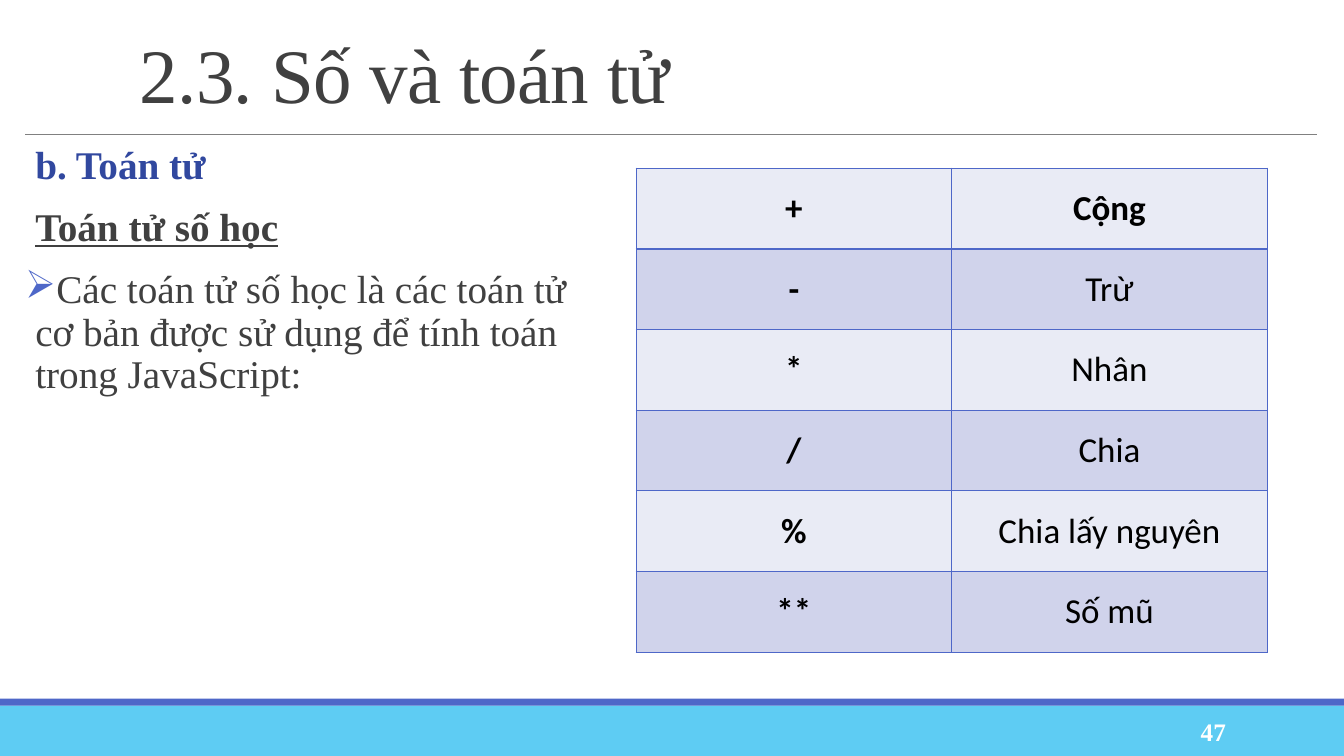
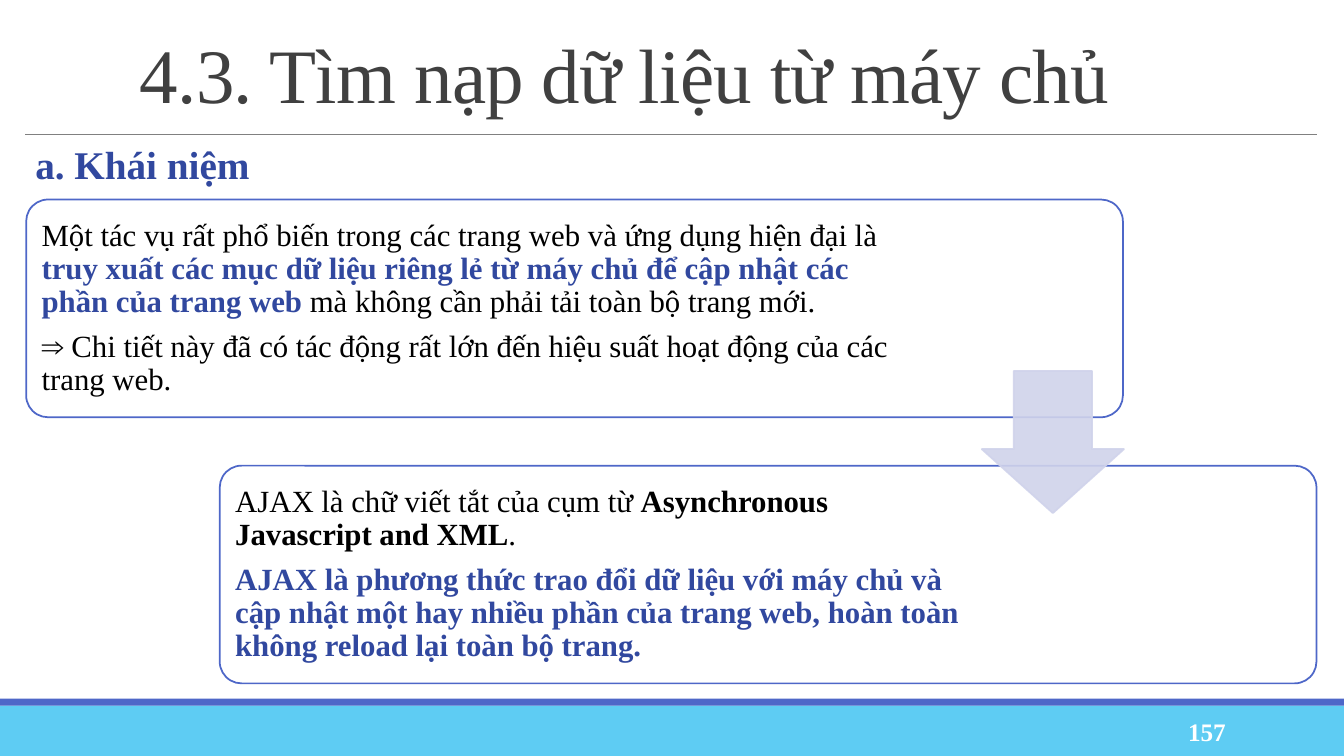
from lxml import etree
from pptx import Presentation
from pptx.dml.color import RGBColor
from pptx.enum.shapes import MSO_CONNECTOR, MSO_SHAPE
from pptx.enum.text import MSO_ANCHOR as Anchor, PP_ALIGN as Align
from pptx.oxml.ns import qn
from pptx.util import Inches, Pt

SERIF, SANS = "Times New Roman", "Calibri"
INK, BLACK, WHITE = "404040", "000000", "FFFFFF"
BLUE, NAVY, SKY, RULE = "4E67C8", "31489F", "5ECCF3", "808080"
PALE, LILAC = "E9EBF5", "D0D3EB"
MARGIN, FULL_WIDTH = 1.88, 96.15


def color(hex_text):
    return RGBColor.from_string(hex_text)


def run(text, **style):
    return text, style


class Deck:
    """Holds the style and the current slide; lengths are percentages of the slide."""

    def __init__(self):
        self.presentation = Presentation()
        self.presentation.slide_width = Inches(13.333)
        self.presentation.slide_height = Inches(7.5)
        self.slide = None

    def x(self, share):
        return round(self.presentation.slide_width * share / 100)

    def y(self, share):
        return round(self.presentation.slide_height * share / 100)

    def box(self, left, top, width, height):
        return self.x(left), self.y(top), self.x(width), self.y(height)

    def new_slide(self, title, number):
        self.slide = self.presentation.slides.add_slide(self.presentation.slide_layouts[6])
        self.shape(MSO_SHAPE.RECTANGLE, (0, 93.33, 100, 6.67), SKY)
        self.shape(MSO_SHAPE.RECTANGLE, (0, 92.4, 100, 0.93), BLUE)
        self.rule(17.73)
        frame = self.text_box((9.68, 4.13, 88.35, 12.8), Anchor.MIDDLE)
        paragraph = self.paragraph(frame, [run(title)], size=55, line_spacing=0.85)
        paragraph.runs[0].font._element.set("spc", "-50")
        frame = self.text_box((81.22, 94.13, 10.73, 5.33), Anchor.MIDDLE)
        self.paragraph(frame, [run(str(number), bold=True)], size=18, ink=WHITE,
                       align=Align.RIGHT)

    def shape(self, preset, place, fill, line=None, adjustments=(), opacity=None):
        shape = self.slide.shapes.add_shape(preset, *self.box(*place))
        shape.shadow.inherit = False
        for index, value in enumerate(adjustments):
            shape.adjustments[index] = value
        shape.fill.solid()
        shape.fill.fore_color.rgb = color(fill)
        if line:
            shape.line.color.rgb = color(line)
            shape.line.width = Pt(1.25)
        else:
            shape.line.fill.background()
        if opacity:
            for tint in shape._element.spPr.iter(qn("a:srgbClr")):
                etree.SubElement(tint, qn("a:alpha")).set("val", str(opacity * 1000))
        return shape

    def rule(self, top):
        line = self.slide.shapes.add_connector(
            MSO_CONNECTOR.STRAIGHT, self.x(MARGIN), self.y(top),
            self.x(MARGIN + FULL_WIDTH), self.y(top))
        line.line.color.rgb = color(RULE)
        line.line.width = Pt(0.5)
        etree.SubElement(line._element.spPr, qn("a:effectLst"))

    def text_box(self, place, anchor=Anchor.TOP):
        frame = self.slide.shapes.add_textbox(*self.box(*place)).text_frame
        frame.word_wrap = True
        frame.vertical_anchor = anchor
        return frame

    def paragraph(self, frame, runs, size, ink=INK, font=SERIF, align=Align.LEFT,
                  line_spacing=None, before=0, after=0):
        """Fills the empty first paragraph of the frame, or appends another."""
        paragraph = frame.paragraphs[0]
        first = not paragraph.runs
        if not first:
            paragraph = frame.add_paragraph()
        paragraph.alignment = align
        paragraph.line_spacing = line_spacing
        paragraph.space_before = Pt(0 if first else before)
        paragraph.space_after = Pt(after)
        for text, style in runs:
            piece = paragraph.add_run()
            piece.text = text
            piece.font.name = font
            piece.font.size = Pt(size)
            piece.font.bold = style.get("bold", False)
            piece.font.underline = style.get("underline", False)
            piece.font.color.rgb = color(style.get("ink", ink))
        return paragraph

    def body(self, width, *items):
        """Each item is a bullet character (or None) and its run."""
        frame = self.text_box((MARGIN, 18.67, width, 71.2))
        frame.margin_left = frame.margin_right = 0
        for bullet, content in items:
            paragraph = self.paragraph(frame, [content], size=28, line_spacing=0.9,
                                       before=12, after=2)
            properties = paragraph._p.get_or_add_pPr()
            properties.set("marL", str(Inches(0.1)))
            if bullet:
                properties.set("indent", str(-Inches(0.1)))
                tint = etree.SubElement(properties, qn("a:buClr"))
                etree.SubElement(tint, qn("a:srgbClr")).set("val", BLUE)
                etree.SubElement(properties, qn("a:buChar")).set("char", bullet)

    def card(self, left, top, right_inset, *paragraphs):
        card = self.shape(MSO_SHAPE.ROUNDED_RECTANGLE, (left, top, 81.6, 28.8),
                          WHITE, BLUE, [0.1])
        frame = card.text_frame
        frame.word_wrap = True
        frame.vertical_anchor = Anchor.MIDDLE
        frame.margin_left = frame.margin_top = frame.margin_bottom = Inches(0.09)
        frame.margin_right = self.x(right_inset)
        for runs in paragraphs:
            self.paragraph(frame, runs, size=22, ink=BLACK, line_spacing=0.9, after=8)

    def table(self, place, rows):
        frame = self.slide.shapes.add_table(len(rows), len(rows[0]), *self.box(*place))
        table = frame.table
        table.first_row = table.horz_banding = False
        for row, texts in enumerate(rows):
            for column, text in enumerate(texts):
                cell = table.cell(row, column)
                cell.fill.solid()
                cell.fill.fore_color.rgb = color(LILAC if row % 2 else PALE)
                cell.vertical_anchor = Anchor.MIDDLE
                cell.margin_left = cell.margin_right = Inches(0.07)
                cell.margin_top = cell.margin_bottom = 0
                self.paragraph(cell.text_frame, [run(text, bold=row == 0 or column == 0)],
                               size=25, ink=BLACK, font=SANS, align=Align.CENTER, after=6)
                cell.text_frame.paragraphs[0].space_after = Pt(0)
                self.borders(cell)

    def borders(self, cell):
        properties = cell._tc.get_or_add_tcPr()
        for index, side in enumerate(("lnL", "lnR", "lnT", "lnB")):
            line = etree.Element(qn(f"a:{side}"), w=str(Pt(1)))
            fill = etree.SubElement(line, qn("a:solidFill"))
            etree.SubElement(fill, qn("a:srgbClr")).set("val", BLUE)
            properties.insert(index, line)


def operators_slide(deck):
    deck.new_slide("2.3. Số và toán tử", 47)
    deck.body(
        41.93,
        (None, run("b. Toán tử", bold=True, ink=NAVY)),
        (None, run("Toán tử số học", bold=True, underline=True)),
        ("➢", run("Các toán tử số học là các toán tử cơ bản được sử dụng để "
                  "tính toán trong JavaScript:")))
    deck.table((47.33, 22.27, 46.95, 64), [
        ("+", "Cộng"), ("-", "Trừ"), ("*", "Nhân"),
        ("/", "Chia"), ("%", "Chia lấy nguyên"), ("**", "Số mũ")])


def ajax_slide(deck):
    deck.new_slide("4.3. Tìm nạp dữ liệu từ máy chủ", 157)
    deck.body(FULL_WIDTH, (None, run("a. Khái niệm", bold=True, ink=NAVY)))
    deck.card(
        1.95, 26.4, 16.4,
        [run("Một tác vụ rất phổ biến trong các trang web và ứng dụng hiện đại là "),
         run("truy xuất các mục dữ liệu riêng lẻ từ máy chủ để cập nhật các phần "
             "của trang web ", bold=True, ink=NAVY),
         run("mà không cần phải tải toàn bộ trang mới.")],
        [run("⇒ Chi tiết này đã có tác động rất lớn đến hiệu suất hoạt động của "
             "các trang web.")])
    deck.card(
        16.35, 61.6, 25.5,
        [run("AJAX là chữ viết tắt của cụm từ "),
         run("Asynchronous Javascript and XML", bold=True),
         run(".")],
        [run("AJAX là phương thức trao đổi dữ liệu với máy chủ và cập nhật một hay "
             "nhiều phần của trang web, hoàn toàn không reload lại toàn bộ trang.",
             bold=True, ink=NAVY)])
    deck.shape(MSO_SHAPE.DOWN_ARROW, (73.05, 49.07, 10.58, 18.8), LILAC, LILAC,
               [0.55, 0.45], opacity=90)


def main():
    deck = Deck()
    operators_slide(deck)
    ajax_slide(deck)
    deck.presentation.save("out.pptx")


if __name__ == "__main__":
    main()
